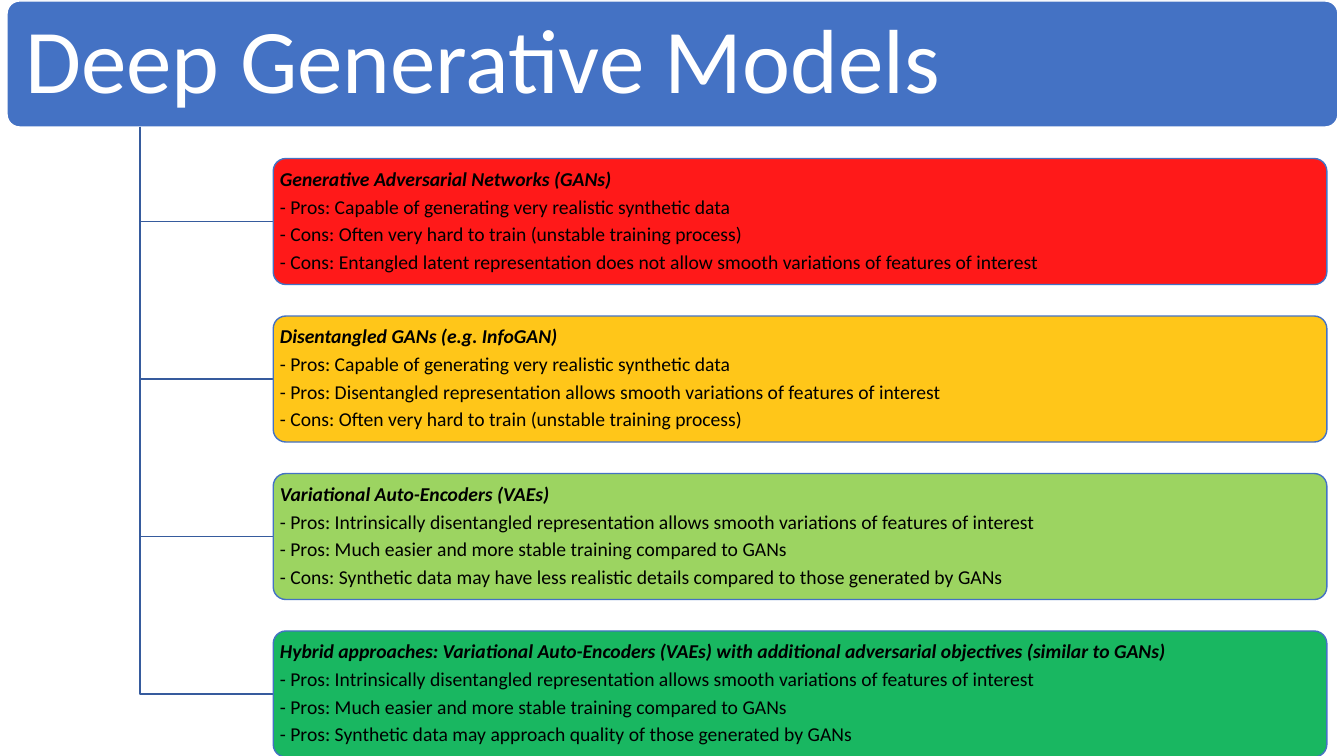
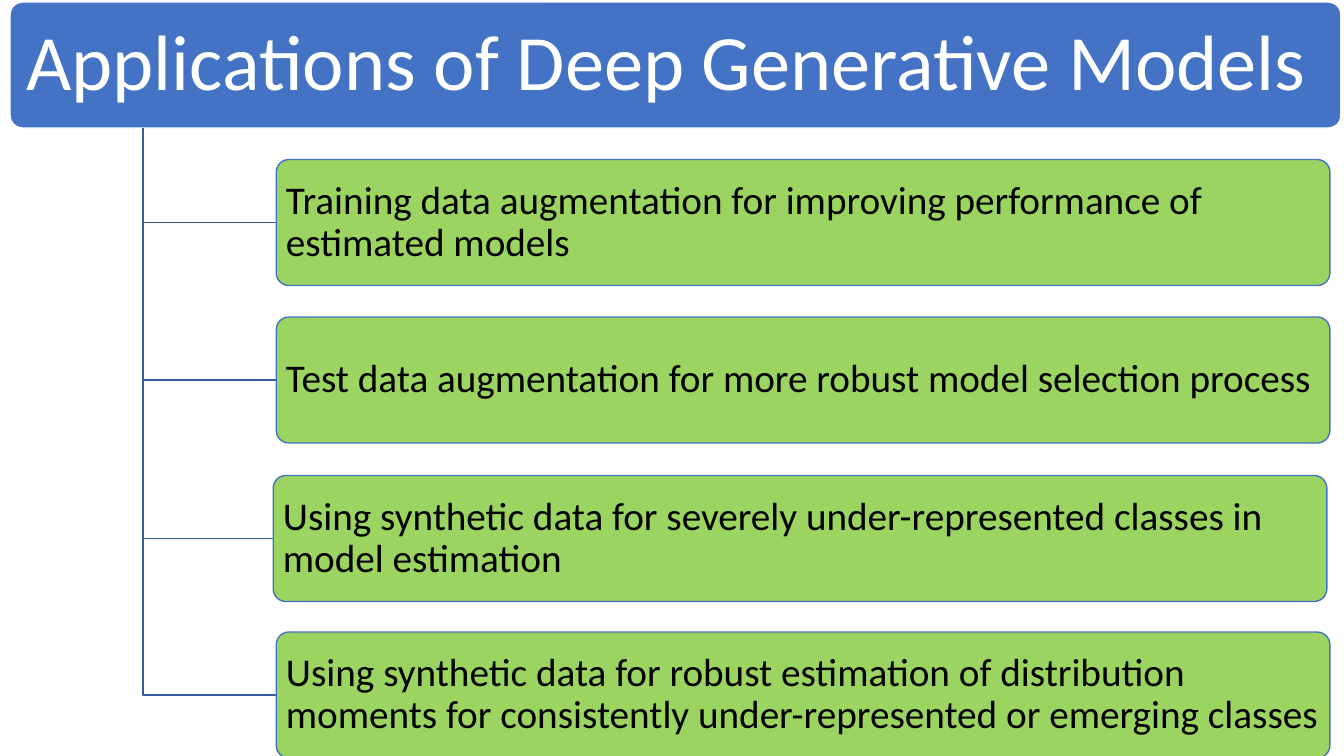
from lxml.etree import SubElement
from pptx import Presentation
from pptx.dml.color import RGBColor
from pptx.enum.shapes import MSO_SHAPE
from pptx.enum.text import MSO_ANCHOR, MSO_AUTO_SIZE, PP_ALIGN
from pptx.oxml.ns import qn
from pptx.util import Inches, Pt

# Shared look
FONT = "Calibri"
BLUE = RGBColor(0x44, 0x72, 0xC4)
NAVY = RGBColor(0x36, 0x5B, 0x9D)
WHITE = RGBColor(0xFF, 0xFF, 0xFF)
BLACK = RGBColor(0, 0, 0)
RED = RGBColor(0xFF, 0, 0)
AMBER = RGBColor(0xFF, 0xC0, 0)
LIME = RGBColor(0x92, 0xD0, 0x50)
GREEN = RGBColor(0, 0xB0, 0x50)

# Tree grid in inches: a wide band, then cards at equal steps
WIDE, HIGH = 13.2, 1.25
STEP = HIGH * 1.25
TRUNK, INDENT = WIDE * 0.1, WIDE * 0.2
CARD = 10.45
EDGE = 0.04

REAL = "- Pros: Capable of generating very realistic synthetic data"
HARD = "- Cons: Often very hard to train (unstable training process)"
SMOOTH = ("- Pros: Intrinsically disentangled representation allows "
          "smooth variations of features of interest")
EASY = "- Pros: Much easier and more stable training compared to GANs"

MODELS = [
    (RED, ["Generative Adversarial Networks (GANs)", REAL, HARD,
           "- Cons: Entangled latent representation does not allow "
           "smooth variations of features of interest"]),
    (AMBER, ["Disentangled GANs (e.g. InfoGAN)", REAL,
             "- Pros: Disentangled representation allows "
             "smooth variations of features of interest", HARD]),
    (LIME, ["Variational Auto-Encoders (VAEs)", SMOOTH, EASY,
            "- Cons: Synthetic data may have less realistic details "
            "compared to those generated by GANs"]),
    (GREEN, ["Hybrid approaches: Variational Auto-Encoders (VAEs) with "
             "additional adversarial objectives (similar to GANs)",
             SMOOTH, EASY,
             "- Pros: Synthetic data may approach quality "
             "of those generated by GANs"]),
]
USES = [(LIME, [line]) for line in (
    "Training data augmentation for improving performance of estimated models",
    "Test data augmentation for more robust model selection process",
    "Using synthetic data for severely under-represented classes "
    "in model estimation",
    "Using synthetic data for robust estimation of distribution moments "
    "for consistently under-represented or emerging classes",
)]


def write(frame, lines, size, color, side, top):
    """Fill a frame with left-aligned lines; a list gets a bold heading."""
    frame.text = "\n".join(lines)
    frame.word_wrap = True
    frame.auto_size = MSO_AUTO_SIZE.NONE
    frame.vertical_anchor = MSO_ANCHOR.MIDDLE
    frame.margin_left = frame.margin_right = Inches(side)
    frame.margin_top = frame.margin_bottom = Inches(top)
    last = len(lines) - 1
    for row, para in enumerate(frame.paragraphs):
        para.alignment = PP_ALIGN.LEFT
        para.line_spacing = 0.9
        para.space_before = Pt(0)
        para.space_after = Pt(size * 0.33 if row < last else 0)
        font = para.runs[0].font
        font.name, font.size = FONT, Pt(size)
        font.color.rgb = color
        font.bold = font.italic = row == 0 and last > 0


def add_box(slide, left, top, width, fill, line):
    """Add a rounded box of the common height."""
    box = slide.shapes.add_shape(
        MSO_SHAPE.ROUNDED_RECTANGLE,
        Inches(left), Inches(top), Inches(width), Inches(HIGH))
    box.adjustments[0] = 0.1
    box.shadow.inherit = False
    box.fill.solid()
    box.fill.fore_color.rgb = fill
    box.line.color.rgb = line
    box.line.width = Pt(1)
    return box


def add_title(slide, left, top, text, size, side, pad):
    """Set the title on a blue band."""
    band = add_box(slide, left, top, WIDE, BLUE, WHITE)
    title = slide.shapes.title
    title.left, title.top = Inches(left + EDGE), Inches(top + EDGE)
    title.width = Inches(WIDE - 2 * EDGE)
    title.height = Inches(HIGH - 2 * EDGE)
    write(title.text_frame, [text], size, WHITE, side, pad)
    title.element.addprevious(band.element)


def add_link(slide, left, top, right, bottom):
    """Draw an elbow from the band down and across to a card."""
    pen = slide.shapes.build_freeform(Inches(left), Inches(top))
    pen.add_line_segments(
        [(Inches(left), Inches(bottom)), (Inches(right), Inches(bottom))],
        close=False)
    link = pen.convert_to_shape()
    link.shadow.inherit = False
    link.fill.background()
    link.line.color.rgb = NAVY
    link.line.width = Pt(1)


def add_card(slide, left, top, fill, lines, size, side, pad):
    """Add a slightly see-through card with its text."""
    card = add_box(slide, left, top, CARD, fill, BLUE)
    tone = card.fill._xPr.find(qn("a:solidFill"))[0]
    SubElement(tone, qn("a:alpha")).set("val", "90000")
    write(card.text_frame, lines, size, BLACK, side, pad)


def add_tree(deck, left, top, title, head, cards, body, shifts):
    """Build a slide: band, links and cards; shifts move single cards."""
    slide = deck.slides.add_slide(deck.slide_layouts[5])
    add_title(slide, left, top, title, *head)
    for row, (fill, lines) in enumerate(cards):
        right, down = shifts.get(row, (0, 0))
        x = left + INDENT + right
        y = top + STEP * (row + 1) + down
        add_link(slide, left + TRUNK, top + HIGH, x, y + HIGH / 2)
        add_card(slide, x, y, fill, lines, *body)


def main():
    deck = Presentation()
    deck.slide_width, deck.slide_height = Inches(13.33), Inches(7.5)
    # Text styles: size, side inset, top inset
    add_tree(deck, 0.07, 0.01, "Deep Generative Models",
             (65, 0.14, 0.09), MODELS, (14, 0.03, 0.02), {})
    add_tree(deck, 0.1, 0.02, "Applications of Deep Generative Models",
             (56, 0.12, 0.08), USES, (28, 0.06, 0.04), {2: (-0.03, 0.01)})
    deck.save("out.pptx")


if __name__ == "__main__":
    main()
